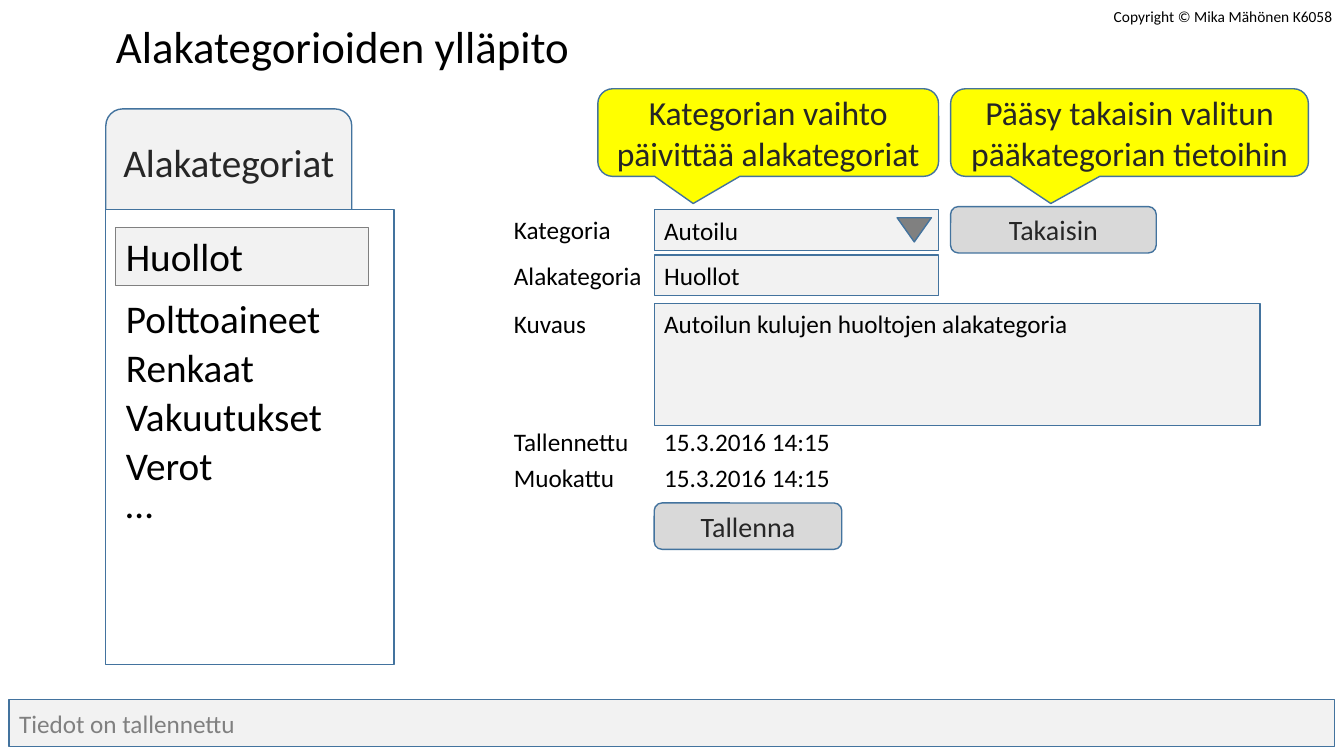
"""Build the subcategory maintenance screen mock-up slide."""
from lxml.etree import SubElement
from pptx import Presentation
from pptx.dml.color import RGBColor
from pptx.enum.shapes import MSO_SHAPE as Preset
from pptx.enum.text import MSO_ANCHOR as Anchor, MSO_AUTO_SIZE as AutoSize, PP_ALIGN as Align
from pptx.oxml.ns import qn
from pptx.util import Pt

COLORS = {
    "field": "F2F2F2", "button": "D9D9D9", "callout": "FFFF00", "panel": "FFFFFF",
    "outline": "43739E", "gray": "808080", "dark": "262626", "black": "000000",
}
FONT = "Calibri"
TITLE = "Alakategorioiden ylläpito"
TITLE_BOX = (75.6, 10.1, 342, 46)
SUBCATEGORIES = ["Polttoaineet", "Renkaat", "Vakuutukset", "Verot", "…"]
LIST_BOX = (82.8, 206.6, 190, 178)
LIST_PITCH, ELLIPSIS_PITCH = 35, 27
LABEL_LEFT, FIELD_LEFT = 360, 467.3
ROW_TOPS = {"category": 149.8, "subcategory": 182.2, "description": 216.7,
            "saved": 301, "edited": 326.9}
ROW_HEIGHT = 29
LABELS = [("category", "Kategoria", 84.2), ("subcategory", "Alakategoria", 106.6),
          ("description", "Kuvaus", 67), ("saved", "Tallennettu", 97.9),
          ("edited", "Muokattu", 87.1)]
TIMESTAMPS = [("saved", "15.3.2016 14:15"), ("edited", "15.3.2016 14:15")]
TIMESTAMP_WIDTH = 134
FIELDS = [("category", "Autoilu", 203, ROW_HEIGHT, Anchor.MIDDLE),
          ("subcategory", "Huollot", 203, ROW_HEIGHT, Anchor.MIDDLE),
          ("description", "Autoilun kulujen huoltojen alakategoria", 432.7, 87.1, Anchor.TOP)]
BUTTONS = [("Takaisin", (679, 147.6, 146.9, 33.1)),
           ("Tallenna", (FIELD_LEFT, 359.3, 134, 33.1))]
CALLOUTS = [("Kategorian vaihto päivittää alakategoriat", (427, 63.4, 243.4, 62.6)),
            ("Pääsy takaisin valitun pääkategorian tietoihin", (679, 63.4, 255.6, 62.6))]
CALLOUT_ADJUSTMENTS = (-0.22, 0.81, 0.17)
TAB = ("Alakategoriat", (75.6, 77.8, 175.7, 72))
PANEL_BOX = (75.6, 149.8, 205.9, 324.7)
SELECTED = ("Huollot", (82.8, 162.7, 180.7, 41))
ARROW_BOX = (640.8, 155.5, 24.5, 17.3)
STATUS = ("Tiedot on tallennettu", (6.5, 499.7, 946.8, 33.8))
COPYRIGHT = ("Copyright © Mika Mähönen K6058", (788.4, 1.4, 172.1, 20.9))


def color(name):
    return RGBColor.from_string(COLORS[name])


def place(shape, box):
    shape.left, shape.top, shape.width, shape.height = map(Pt, box)


def write(shape, text, size, ink="black", align=Align.LEFT, anchor=Anchor.TOP, wrap=True):
    frame = shape.text_frame
    frame.text = text
    frame.word_wrap, frame.auto_size, frame.vertical_anchor = wrap, AutoSize.NONE, anchor
    for paragraph in frame.paragraphs:
        paragraph.alignment = align
        paragraph.font.name, paragraph.font.size = FONT, Pt(size)
        paragraph.font.color.rgb = color(ink)


def add_shape(slide, preset, box, fill="field", line="outline", line_width=1):
    shape = slide.shapes.add_shape(preset, *map(Pt, box))
    shape.shadow.inherit = False
    shape.fill.solid()
    shape.fill.fore_color.rgb = color(fill)
    shape.line.color.rgb = color(line)
    shape.line.width = Pt(line_width)
    return shape


def add_label(slide, text, box, size=18):
    write(slide.shapes.add_textbox(*map(Pt, box)), text, size, wrap=False)


def add_title(slide):
    title = slide.shapes.title
    place(title, TITLE_BOX)
    write(title, TITLE, 32, wrap=False)


def add_category_list(slide):
    text, box = TAB
    tab = add_shape(slide, Preset.ROUND_2_SAME_RECTANGLE, box)
    write(tab, text, 28, "dark", Align.CENTER, Anchor.MIDDLE)
    add_shape(slide, Preset.RECTANGLE, PANEL_BOX, "panel")
    text, box = SELECTED
    write(add_shape(slide, Preset.RECTANGLE, box, line="gray", line_width=0.75), text, 28)

    body = slide.placeholders[1]
    slide.shapes.element.append(body.element)
    place(body, LIST_BOX)
    body.text_frame.text = "\n".join(SUBCATEGORIES)
    for paragraph in body.text_frame.paragraphs:
        properties = paragraph._p.get_or_add_pPr()
        properties.set("marL", "0")
        properties.set("indent", "0")
    write(body, "\n".join(SUBCATEGORIES), 28)
    for index, paragraph in enumerate(body.text_frame.paragraphs):
        properties = paragraph._p.get_or_add_pPr()
        properties.set("marL", "0")
        properties.set("indent", "0")
        for run_defaults in properties.findall(qn("a:defRPr")):
            properties.remove(run_defaults)
        SubElement(properties, qn("a:buNone"))
        paragraph.font.name, paragraph.font.size = FONT, Pt(28)
        paragraph.font.color.rgb = color("black")
        paragraph.space_before = Pt(0)
        if index:
            is_last = index == len(SUBCATEGORIES) - 1
            paragraph.line_spacing = Pt(ELLIPSIS_PITCH if is_last else LIST_PITCH)


def add_form(slide):
    for row, text, width in LABELS:
        add_label(slide, text, (LABEL_LEFT, ROW_TOPS[row], width, ROW_HEIGHT))
    for row, text in TIMESTAMPS:
        add_label(slide, text, (FIELD_LEFT, ROW_TOPS[row], TIMESTAMP_WIDTH, ROW_HEIGHT))
    for row, text, width, height, anchor in FIELDS:
        field = add_shape(slide, Preset.RECTANGLE, (FIELD_LEFT, ROW_TOPS[row], width, height))
        write(field, text, 18, anchor=anchor)
    add_shape(slide, Preset.ISOSCELES_TRIANGLE, ARROW_BOX, "gray").rotation = 180
    for text, box in BUTTONS:
        button = add_shape(slide, Preset.ROUNDED_RECTANGLE, box, "button")
        write(button, text, 20, "dark", Align.CENTER, Anchor.MIDDLE)
    for text, box in CALLOUTS:
        callout = add_shape(slide, Preset.ROUNDED_RECTANGULAR_CALLOUT, box, "callout")
        for index, value in enumerate(CALLOUT_ADJUSTMENTS):
            callout.adjustments[index] = value
        write(callout, text, 24, "dark", Align.CENTER, Anchor.MIDDLE)


def main():
    presentation = Presentation()
    presentation.slide_width, presentation.slide_height = Pt(960), Pt(540)
    slide = presentation.slides.add_slide(presentation.slide_layouts[1])
    add_title(slide)
    add_category_list(slide)
    add_form(slide)
    text, box = STATUS
    write(add_shape(slide, Preset.RECTANGLE, box), text, 18, "gray", anchor=Anchor.MIDDLE)
    add_label(slide, *COPYRIGHT, size=11)
    presentation.save("out.pptx")


if __name__ == "__main__":
    main()
